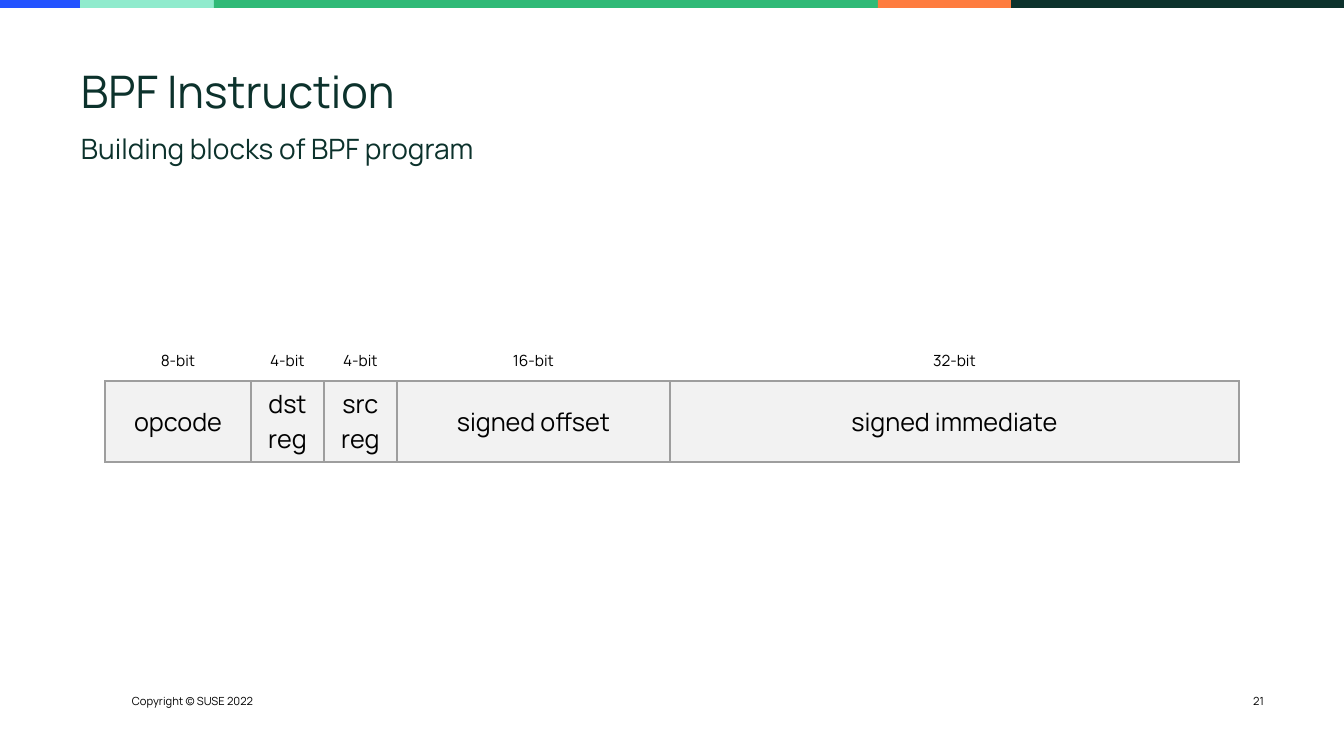
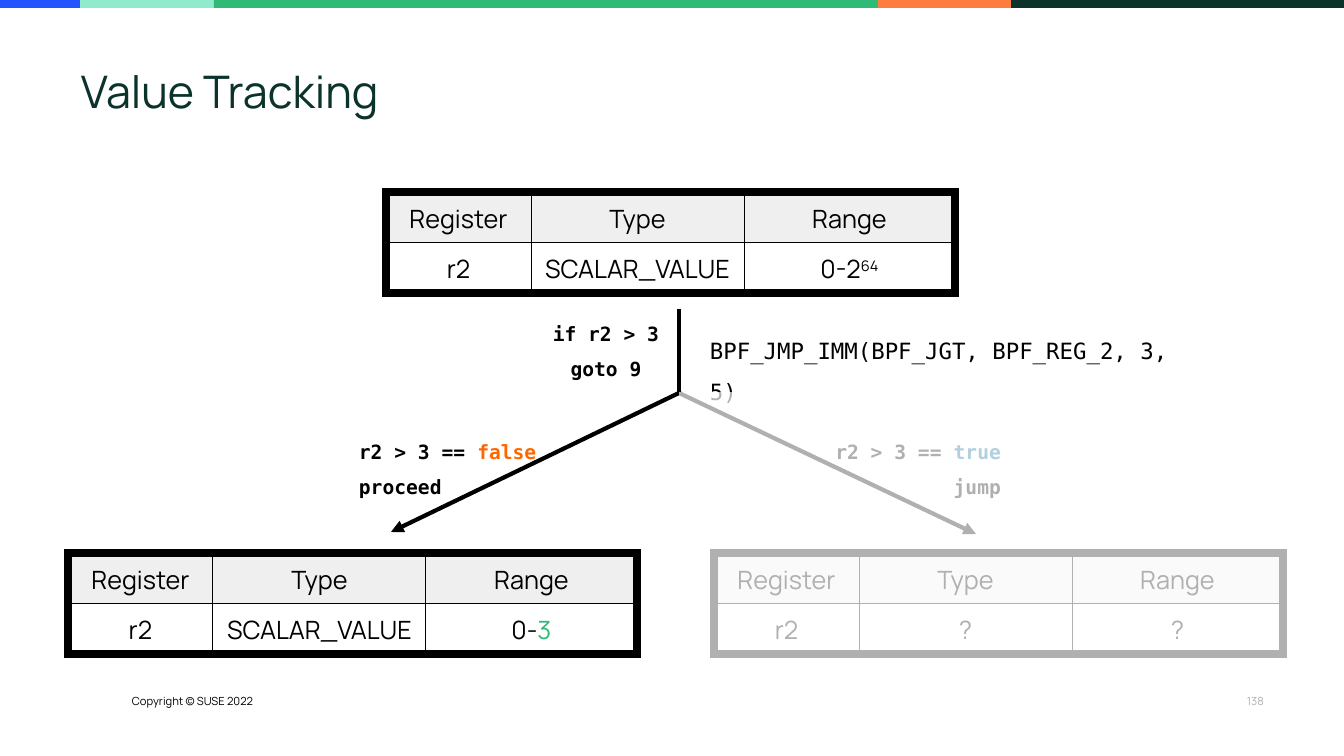
from dataclasses import dataclass
from typing import NamedTuple

import lxml.etree
import pptx
import pptx.dml.color
import pptx.enum.shapes
import pptx.enum.text
import pptx.oxml.ns
import pptx.presentation
import pptx.shapes.autoshape
import pptx.slide
import pptx.table
import pptx.text.text
import pptx.util

ALIGN = pptx.enum.text.PP_ALIGN
ANCHOR = pptx.enum.text.MSO_ANCHOR
qn = pptx.oxml.ns.qn


@dataclass(frozen=True)
class Theme:
    sans: str = "Manrope"
    mono: str = "DejaVu Sans Mono"
    black: str = "000000"
    white: str = "FFFFFF"
    pine: str = "0C322C"
    blue: str = "2453FF"
    mint: str = "90EBCD"
    green: str = "30BA77"
    orange: str = "FE7C3F"
    false_color: str = "FF6600"
    true_color: str = "006699"
    field_fill: str = "F2F2F2"
    field_border: str = "9E9E9E"
    header_fill: str = "EFEFEF"
    title_size: int = 32
    subtitle_size: int = 20
    body_size: int = 18
    call_size: int = 16
    code_size: int = 14
    bits_size: int = 11
    footer_size: int = 8


THEME = Theme()


class Box(NamedTuple):
    left: int
    top: int
    width: int
    height: int


class Run(NamedTuple):
    text: str
    color: str | None = None
    baseline: int = 0


class Band(NamedTuple):
    width: int
    color: str


class Field(NamedTuple):
    bits: str
    name: str
    width: int


class Border(NamedTuple):
    color: str
    points: float


class RegisterState(NamedTuple):
    left: int
    top: int
    type_name: str
    value_range: tuple[Run, ...]


class Branch(NamedTuple):
    target: tuple[int, int]
    label: Box
    outcome: Run
    action: str
    align: ALIGN


Paragraphs = str | list[tuple[Run, ...]]

BANDS = (
    Band(80, THEME.blue),
    Band(134, THEME.mint),
    Band(664, THEME.green),
    Band(133, THEME.orange),
    Band(333, THEME.pine),
)
FIELDS = (
    Field("8-bit", "opcode", 146),
    Field("4-bit", "dst reg", 73),
    Field("4-bit", "src reg", 73),
    Field("16-bit", "signed offset", 273),
    Field("32-bit", "signed immediate", 569),
)
STATES = (
    RegisterState(386, 192, "SCALAR_VALUE", (Run("0-2"), Run("64", baseline=30))),
    RegisterState(68, 553, "SCALAR_VALUE", (Run("0-"), Run("3", THEME.green))),
    RegisterState(714, 553, "?", (Run("?"),)),
)
FORK = (679, 393)
BRANCHES = (
    Branch((391, 532), Box(349, 418, 267, 80), Run("false", THEME.false_color),
           "proceed", ALIGN.LEFT),
    Branch((976, 534), Box(744, 418, 267, 80), Run("true", THEME.true_color),
           "jump", ALIGN.RIGHT),
)
CELL_MARGIN = 10


def px(length: int) -> int:
    """Convert pixels, 100.8 to the inch, to EMU."""
    return pptx.util.Emu(round(length * 914400 / 100.8))


def rgb(color: str) -> pptx.dml.color.RGBColor:
    return pptx.dml.color.RGBColor.from_string(color)


# Text
def write_text(frame: pptx.text.text.TextFrame, text: Paragraphs, *, size: int,
               color: str = THEME.black, font: str = THEME.sans, bold: bool = False,
               align: ALIGN = ALIGN.LEFT, spacing: float = 1.0) -> None:
    lines = [(Run(text),)] if isinstance(text, str) else text
    for index, line in enumerate(lines):
        paragraph = frame.add_paragraph() if index else frame.paragraphs[0]
        paragraph.alignment = align
        paragraph.line_spacing = spacing
        for part in line:
            run = paragraph.add_run()
            run.text = part.text
            run.font.name = font
            run.font.size = pptx.util.Pt(size)
            run.font.bold = bold
            run.font.color.rgb = rgb(part.color or color)
            if part.baseline:
                run.font._element.set("baseline", str(part.baseline * 1000))


def add_text(slide: pptx.slide.Slide, box: Box, text: Paragraphs, *, margin: int = 0,
             anchor: ANCHOR = ANCHOR.TOP, **text_format) -> None:
    frame = slide.shapes.add_textbox(*map(px, box)).text_frame
    frame.word_wrap = True
    frame.auto_size = pptx.enum.text.MSO_AUTO_SIZE.SHAPE_TO_FIT_TEXT
    frame.vertical_anchor = anchor
    frame.margin_left = frame.margin_right = px(margin)
    frame.margin_top = frame.margin_bottom = px(margin)
    write_text(frame, text, **text_format)


# Shapes and lines
def add_rectangle(slide: pptx.slide.Slide, box: Box, color: str,
                  opacity: int = 100) -> None:
    shape = slide.shapes.add_shape(
        pptx.enum.shapes.MSO_SHAPE.RECTANGLE, *map(px, box))
    shape.shadow.inherit = False
    shape.line.fill.background()
    shape.fill.solid()
    shape.fill.fore_color.rgb = rgb(color)
    if opacity < 100:
        fill_color = shape.element.spPr.find(".//" + qn("a:srgbClr"))
        lxml.etree.SubElement(fill_color, qn("a:alpha"), val=str(opacity * 1000))


def add_line(slide: pptx.slide.Slide, start: tuple[int, int], end: tuple[int, int],
             arrow: bool = False) -> None:
    connector = slide.shapes.add_connector(
        pptx.enum.shapes.MSO_CONNECTOR.STRAIGHT, *map(px, start + end))
    connector.line.color.rgb = rgb(THEME.black)
    connector.line.width = pptx.util.Pt(3)
    if arrow:
        line = connector.line._get_or_add_ln()
        lxml.etree.SubElement(line, qn("a:tailEnd"), type="triangle")
    lxml.etree.SubElement(connector.element.spPr, qn("a:effectLst"))


# Tables
def add_table(slide: pptx.slide.Slide, left: int, top: int, widths: list[int],
              heights: list[int]) -> pptx.table.Table:
    box = Box(left, top, sum(widths), sum(heights))
    table = slide.shapes.add_table(
        len(heights), len(widths), *map(px, box)).table
    table.first_row = table.horz_banding = False
    for column, width in zip(table.columns, widths):
        column.width = px(width)
    for row, height in zip(table.rows, heights):
        row.height = px(height)
    return table


def fill_cell(cell: pptx.table._Cell, text: Paragraphs, *, size: int,
              fill: str | None = None, borders: dict[str, Border],
              anchor: ANCHOR = ANCHOR.TOP, margins: tuple[int, int]) -> None:
    cell.margin_left = cell.margin_right = px(CELL_MARGIN)
    cell.margin_top, cell.margin_bottom = map(px, margins)
    cell.vertical_anchor = anchor
    properties = cell._tc.get_or_add_tcPr()
    for side in "LRTB":
        if side in borders:
            border = borders[side]
            line = lxml.etree.SubElement(
                properties, qn(f"a:ln{side}"), w=str(pptx.util.Pt(border.points)))
            solid = lxml.etree.SubElement(line, qn("a:solidFill"))
            lxml.etree.SubElement(solid, qn("a:srgbClr"), val=border.color)
    if fill:
        cell.fill.solid()
        cell.fill.fore_color.rgb = rgb(fill)
    else:
        cell.fill.background()
    write_text(cell.text_frame, text, size=size, align=ALIGN.CENTER)


def add_field_table(slide: pptx.slide.Slide) -> None:
    border = Border(THEME.field_border, 1.5)
    table = add_table(slide, 105, 343, [field.width for field in FIELDS], [38, 81])
    for column, field in enumerate(FIELDS):
        fill_cell(table.cell(0, column), field.bits, size=THEME.bits_size,
                  borders={"B": border}, anchor=ANCHOR.BOTTOM,
                  margins=(0, CELL_MARGIN))
        fill_cell(table.cell(1, column), field.name, size=THEME.body_size,
                  fill=THEME.field_fill, borders=dict.fromkeys("LRTB", border),
                  anchor=ANCHOR.MIDDLE, margins=(5, 5))


def add_state_table(slide: pptx.slide.Slide, state: RegisterState) -> None:
    thick, thin = Border(THEME.black, 6), Border(THEME.black, 0.75)
    rows = (("Register", "Type", "Range"),
            ("r2", state.type_name, [state.value_range]))
    table = add_table(slide, state.left, state.top, [145, 213, 211], [50, 51])
    for row, texts in enumerate(rows):
        for column, text in enumerate(texts):
            outer = {"L": column == 0, "R": column == 2, "T": row == 0, "B": row == 1}
            fill_cell(table.cell(row, column), text, size=THEME.body_size,
                      fill=None if row else THEME.header_fill,
                      borders={side: thick if edge else thin
                               for side, edge in outer.items()},
                      margins=(CELL_MARGIN, 0))


# Slides
def add_slide(presentation: pptx.presentation.Presentation, title: str,
              number: int) -> pptx.slide.Slide:
    slide = presentation.slides.add_slide(presentation.slide_layouts[6])
    left = 0
    for band in BANDS:
        add_rectangle(slide, Box(left, 0, band.width, 8), band.color)
        left += band.width
    add_text(slide, Box(132, 694, 136, 13), "Copyright © SUSE 2022",
             size=THEME.footer_size)
    add_text(slide, Box(1232, 694, 32, 13), str(number), size=THEME.footer_size,
             align=ALIGN.RIGHT)
    add_text(slide, Box(81, 70, 1182, 48), title, size=THEME.title_size,
             color=THEME.pine, anchor=ANCHOR.MIDDLE, spacing=0.9)
    return slide


def add_instruction_slide(presentation: pptx.presentation.Presentation) -> None:
    slide = add_slide(presentation, "BPF Instruction", 21)
    add_text(slide, Box(81, 128, 1182, 34), "Building blocks of BPF program",
             size=THEME.subtitle_size, color=THEME.pine, spacing=1.1)
    add_field_table(slide)


def add_tracking_slide(presentation: pptx.presentation.Presentation) -> None:
    slide = add_slide(presentation, "Value Tracking", 138)
    code = {"font": THEME.mono, "margin": 10, "spacing": 1.5}
    for state in STATES:
        add_state_table(slide, state)

    # Condition and its two outcomes
    add_line(slide, (FORK[0], 309), FORK)
    add_text(slide, Box(533, 300, 146, 80), "if r2 > 3 goto 9",
             size=THEME.code_size, bold=True, align=ALIGN.CENTER, **code)
    add_text(slide, Box(700, 314, 511, 47), "BPF_JMP_IMM(BPF_JGT, BPF_REG_2, 3, 5)",
             size=THEME.call_size, **code)
    for branch in BRANCHES:
        add_line(slide, FORK, branch.target, arrow=True)
        add_text(slide, branch.label,
                 [(Run("r2 > 3 == "), branch.outcome), (Run(branch.action),)],
                 size=THEME.code_size, bold=True, align=branch.align, **code)

    # Veil over the branch not taken
    add_rectangle(slide, Box(679, 392, 665, 363), THEME.white, opacity=69)


def main() -> None:
    presentation = pptx.Presentation()
    presentation.slide_width, presentation.slide_height = px(1344), px(756)
    add_instruction_slide(presentation)
    add_tracking_slide(presentation)
    presentation.save("out.pptx")


if __name__ == "__main__":
    main()
